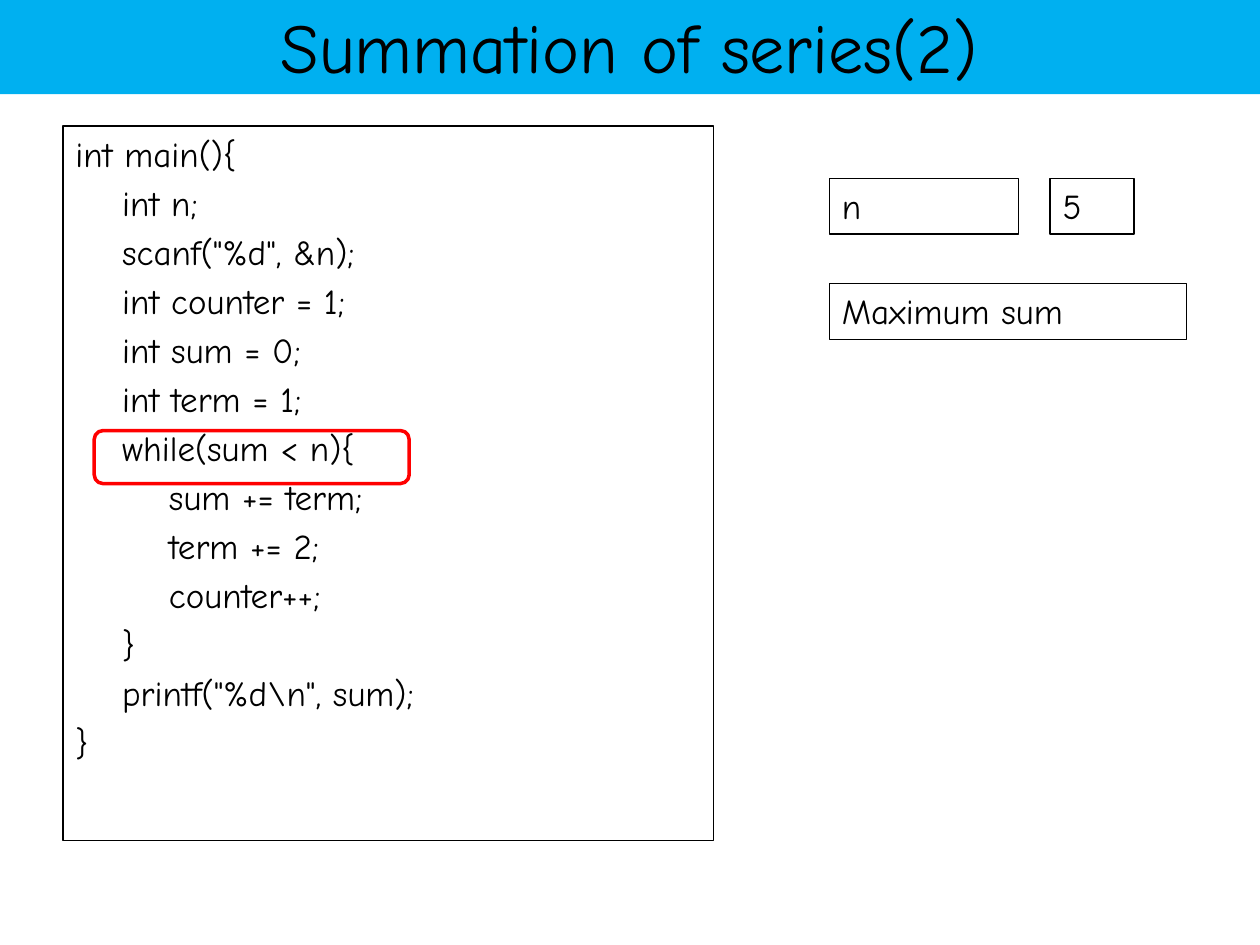
import pptx
import pptx.dml.color
import pptx.enum.shapes
import pptx.enum.text
import pptx.util

Cm = pptx.util.Cm
Pt = pptx.util.Pt
Shape = pptx.enum.shapes.MSO_SHAPE
Align = pptx.enum.text.PP_ALIGN
Anchor = pptx.enum.text.MSO_ANCHOR

CODE = r'''int main(){
    int n;
    scanf("%d", &n);
    int counter = 1;
    int sum = 0;
    int term = 1;
    while(sum < n){
        sum += term;
        term += 2;
        counter++;
    }
    printf("%d\n", sum);
}'''


def color(value):
    return pptx.dml.color.RGBColor.from_string(value)


def write(shape, text, font="Comic Neue", size=20, ink="000000",
          align=Align.LEFT, anchor=Anchor.TOP, gap=0):
    frame = shape.text_frame
    frame.word_wrap = True
    frame.vertical_anchor = anchor
    for index, line in enumerate(text.split("\n")):
        paragraph = frame.add_paragraph() if index else frame.paragraphs[0]
        paragraph.alignment = align
        paragraph.space_before = Pt(gap if index else 0)
        run = paragraph.add_run()
        run.text = line
        run.font.name = font
        run.font.size = Pt(size)
        run.font.color.rgb = color(ink)


class Lesson:
    """Draws the elements of a code-tracing slide in one style."""

    band = "00B0F0"
    outline = "000000"
    accent = "FF0000"

    def __init__(self, slide):
        self.slide = slide

    def block(self, kind, bounds, fill=None, line=None, weight=0.75):
        shape = self.slide.shapes.add_shape(kind, *map(Cm, bounds))
        shape.shadow.inherit = False
        if fill:
            shape.fill.solid()
            shape.fill.fore_color.rgb = color(fill)
        else:
            shape.fill.background()
        if line:
            shape.line.color.rgb = color(line)
            shape.line.width = Pt(weight)
        else:
            shape.line.fill.background()
        return shape

    def title(self, text, *bounds):
        banner = self.block(Shape.RECTANGLE, bounds, fill=self.band)
        write(banner, text, size=40, align=Align.CENTER, anchor=Anchor.MIDDLE)

    def box(self, text, *bounds, gap=0):
        write(self.block(Shape.RECTANGLE, bounds, line=self.outline), text, gap=gap)

    def highlight(self, *bounds):
        self.block(Shape.ROUNDED_RECTANGLE, bounds, line=self.accent, weight=2)


def main():
    deck = pptx.Presentation()
    deck.slide_width, deck.slide_height = Cm(25.4), Cm(19.05)
    lesson = Lesson(deck.slides.add_slide(deck.slide_layouts[6]))

    lesson.title("Summation of series(2)", -0.03, -0.08, 25.43, 1.98)
    lesson.box(CODE, 1.27, 2.54, 13.12, 14.4, gap=4)

    trace_left, trace_top, row_height = 16.72, 3.6, 1.12
    lesson.box("5", 21.17, trace_top, 1.69, row_height)
    lesson.box("n", trace_left, trace_top, 3.81, row_height)
    lesson.box("Maximum sum", trace_left, 5.72, 7.2, row_height)
    lesson.highlight(1.9, 8.68, 6.35, 1.07)

    deck.save("out.pptx")


if __name__ == "__main__":
    main()
